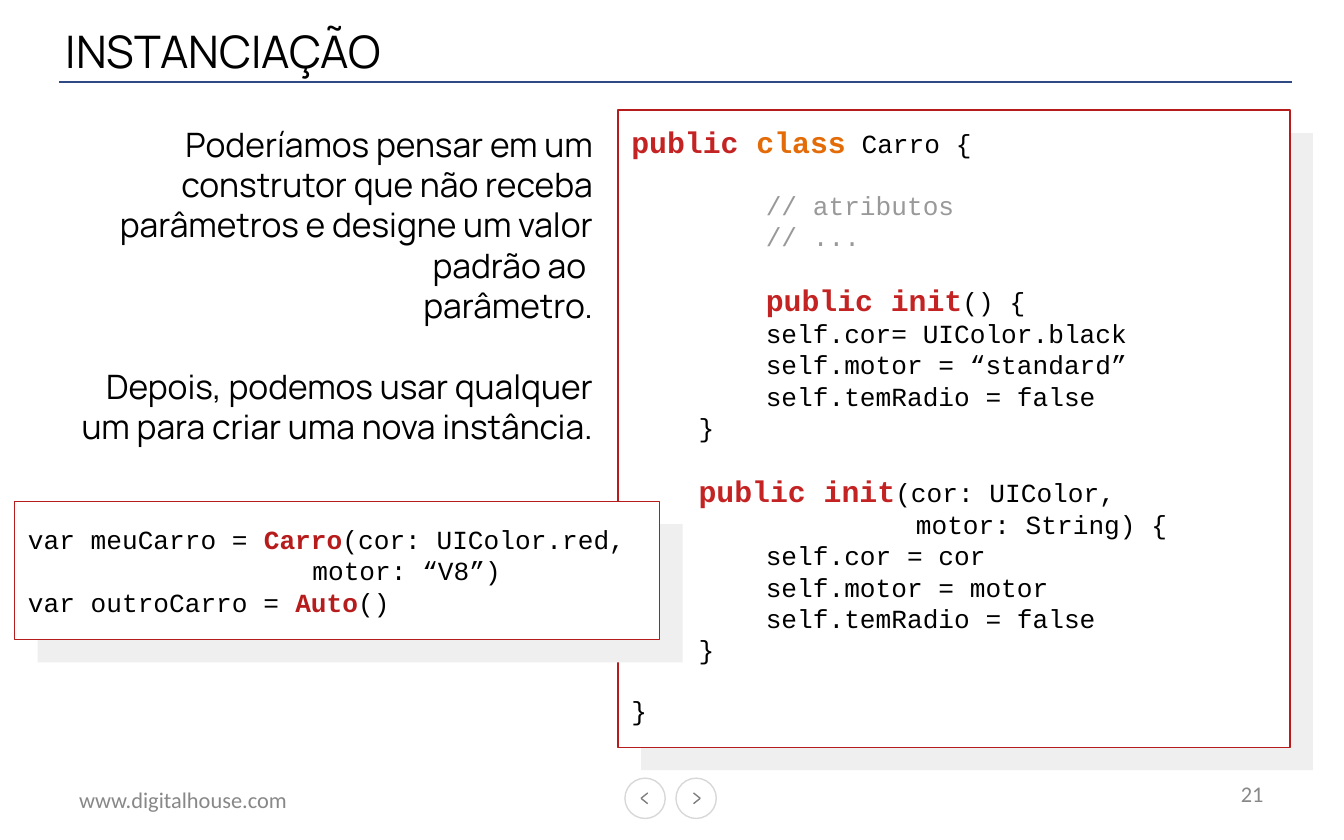
from dataclasses import dataclass

from lxml import etree
from pptx import Presentation
from pptx import util as u
from pptx.dml.color import RGBColor
from pptx.enum import shapes, text
from pptx.oxml.ns import qn


@dataclass(frozen=True)
class Theme:
    ink: str = "000000"
    rule: str = "304884"
    footer: str = "888888"
    button: str = "D8D8D8"
    chevron: str = "7F7F7F"
    card: str = "FFFFFF"
    backing: str = "EFEFEF"
    border: str = "B71C1C"
    keyword: str = "C42323"
    class_word: str = "E36C09"
    comment: str = "999999"
    title_size: int = 24
    body_size: int = 18
    keyword_size: int = 16
    code_size: int = 14
    footer_size: int = 12
    code_gap: float = 15.86
    body_gap: float = 21.6
    line_width: float = 0.75
    heading_font: str = "Manrope"
    code_font: str = "Courier New"
    footer_font: str = "Calibri"


theme = Theme()


def draw_line(start, end, color):
    points = [u.Inches(value) for value in (*start, *end)]
    line = slide.shapes.add_connector(shapes.MSO_CONNECTOR.STRAIGHT, *points)
    line.line.color.rgb = RGBColor.from_string(color)
    line.line.width = u.Pt(theme.line_width)
    etree.SubElement(line._element.spPr, qn("a:effectLst"))


def format_font(font, name, size, color, bold=False):
    font.name = name
    font.size = u.Pt(size)
    font.bold = bold
    font.color.rgb = RGBColor.from_string(color)


presentation = Presentation()
presentation.slide_width = u.Inches(10)
presentation.slide_height = u.Inches(6.25)
slide = presentation.slides.add_slide(presentation.slide_layouts[5])

draw_line((0.44, 0.61), (9.61, 0.61), theme.rule)

title = slide.shapes.title
title.left, title.top = u.Inches(0.49), u.Inches(0.16)
title.width, title.height = u.Inches(6.67), u.Inches(0.43)
frame = title.text_frame
frame.margin_left = frame.margin_right = frame.margin_top = frame.margin_bottom = 0
frame.vertical_anchor = text.MSO_ANCHOR.MIDDLE
frame.text = "INSTANCIAÇÃO"
frame.paragraphs[0].alignment = text.PP_ALIGN.LEFT
format_font(frame.paragraphs[0].runs[0].font, theme.heading_font, theme.title_size, theme.ink)

footers = [
    ("www.digitalhouse.com", 0.49, 5.8, 0.3, text.PP_ALIGN.LEFT),
    ("21", 7.17, 5.74, 0.33, text.PP_ALIGN.RIGHT),
]
for words, left, top, height, alignment in footers:
    box = slide.shapes.add_textbox(u.Inches(left), u.Inches(top), u.Inches(2.33), u.Inches(height))
    frame = box.text_frame
    frame.word_wrap = True
    frame.vertical_anchor = text.MSO_ANCHOR.MIDDLE
    frame.text = words
    frame.paragraphs[0].alignment = alignment
    format_font(frame.paragraphs[0].runs[0].font, theme.footer_font, theme.footer_size, theme.footer)

for left, tip, tail in ((4.65, 4.77, 4.82), (5.03, 5.21, 5.16)):
    button = slide.shapes.add_shape(
        shapes.MSO_SHAPE.OVAL, u.Inches(left), u.Inches(5.79), u.Inches(0.3), u.Inches(0.3)
    )
    button.shadow.inherit = False
    button.fill.solid()
    button.fill.fore_color.rgb = RGBColor.from_string(theme.card)
    button.line.color.rgb = RGBColor.from_string(theme.button)
    button.line.width = u.Pt(theme.line_width)
    for tail_top in (5.9, 5.98):
        draw_line((tip, 5.94), (tail, tail_top), theme.chevron)

explanation = slide.shapes.add_textbox(u.Inches(0.49), u.Inches(0.82), u.Inches(4.02), u.Inches(2.86))
frame = explanation.text_frame
frame.word_wrap = True
frame.margin_left = frame.margin_right = frame.margin_top = frame.margin_bottom = u.Inches(0.1)
frame.text = "\n".join([
    "Poderíamos pensar em um construtor que não receba parâmetros e designe um valor padrão ao ",
    "parâmetro.",
    "Depois, podemos usar qualquer um para criar uma nova instância.",
])
for paragraph in frame.paragraphs:
    paragraph.alignment = text.PP_ALIGN.RIGHT
    format_font(paragraph.runs[0].font, theme.heading_font, theme.body_size, theme.ink)
frame.paragraphs[-1].space_before = u.Pt(theme.body_gap)

styles = {
    "plain": (theme.code_size, theme.ink, False),
    "keyword": (theme.keyword_size, theme.keyword, True),
    "class": (theme.keyword_size, theme.class_word, True),
    "comment": (theme.code_size, theme.comment, False),
    "type": (theme.code_size, theme.border, True),
}
class_code = [
    (0, 0, [("public", "keyword"), (" class", "class"), (" Carro {", "plain")]),
    (1, 1, [("// atributos", "comment")]),
    (1, 0, [("// ...", "comment")]),
    (1, 1, [("public init", "keyword"), ("() {", "plain")]),
    (1, 0, [("self.cor= UIColor.black", "plain")]),
    (1, 0, [("self.motor = “standard”", "plain")]),
    (1, 0, [("self.temRadio = false", "plain")]),
    (0.5, 0, [("}", "plain")]),
    (0.5, 1, [("public init", "keyword"), ("(cor: UIColor,", "plain")]),
    (2, 0, [(" motor: String) {", "plain")]),
    (1, 0, [("self.cor = cor", "plain")]),
    (1, 0, [("self.motor = motor", "plain")]),
    (1, 0, [("self.temRadio = false", "plain")]),
    (0.5, 0, [("}", "plain")]),
    (0, 1, [("}", "plain")]),
]
usage_code = [
    (0, 0, [("var meuCarro = ", "plain"), ("Carro", "type"), ("(cor: UIColor.red,", "plain")]),
    (2, 0, [(" motor: “V8”)", "plain")]),
    (0, 0, [("var outroCarro = ", "plain"), ("Auto", "type"), ("()", "plain")]),
]
cards = [
    (4.6, 0.82, 5, 4.74, text.MSO_ANCHOR.TOP, class_code),
    (0.11, 3.73, 4.8, 1.03, text.MSO_ANCHOR.MIDDLE, usage_code),
]
for left, top, width, height, anchor, code in cards:
    for offset, fill in ((0.17, theme.backing), (0, theme.card)):
        card = slide.shapes.add_shape(
            shapes.MSO_SHAPE.RECTANGLE,
            u.Inches(left + offset), u.Inches(top + offset), u.Inches(width), u.Inches(height),
        )
        card.shadow.inherit = False
        card.fill.solid()
        card.fill.fore_color.rgb = RGBColor.from_string(fill)
        card.line.fill.background()
    card.line.color.rgb = RGBColor.from_string(theme.border)
    card.line.width = u.Pt(theme.line_width)
    frame = card.text_frame
    frame.word_wrap = True
    frame.vertical_anchor = anchor
    frame.margin_left = frame.margin_right = frame.margin_top = frame.margin_bottom = u.Inches(0.1)
    frame.text = "\n" * (len(code) - 1)
    for paragraph, (indent, blank_lines, pieces) in zip(frame.paragraphs, code):
        paragraph.alignment = text.PP_ALIGN.LEFT
        if blank_lines:
            paragraph.space_before = u.Pt(theme.code_gap * blank_lines)
        properties = paragraph._p.get_or_add_pPr()
        properties.set("marL", str(u.Inches(indent)))
        properties.set("indent", "0")
        for words, style in pieces:
            run = paragraph.add_run()
            run.text = words
            format_font(run.font, theme.code_font, *styles[style])

presentation.save("out.pptx")
